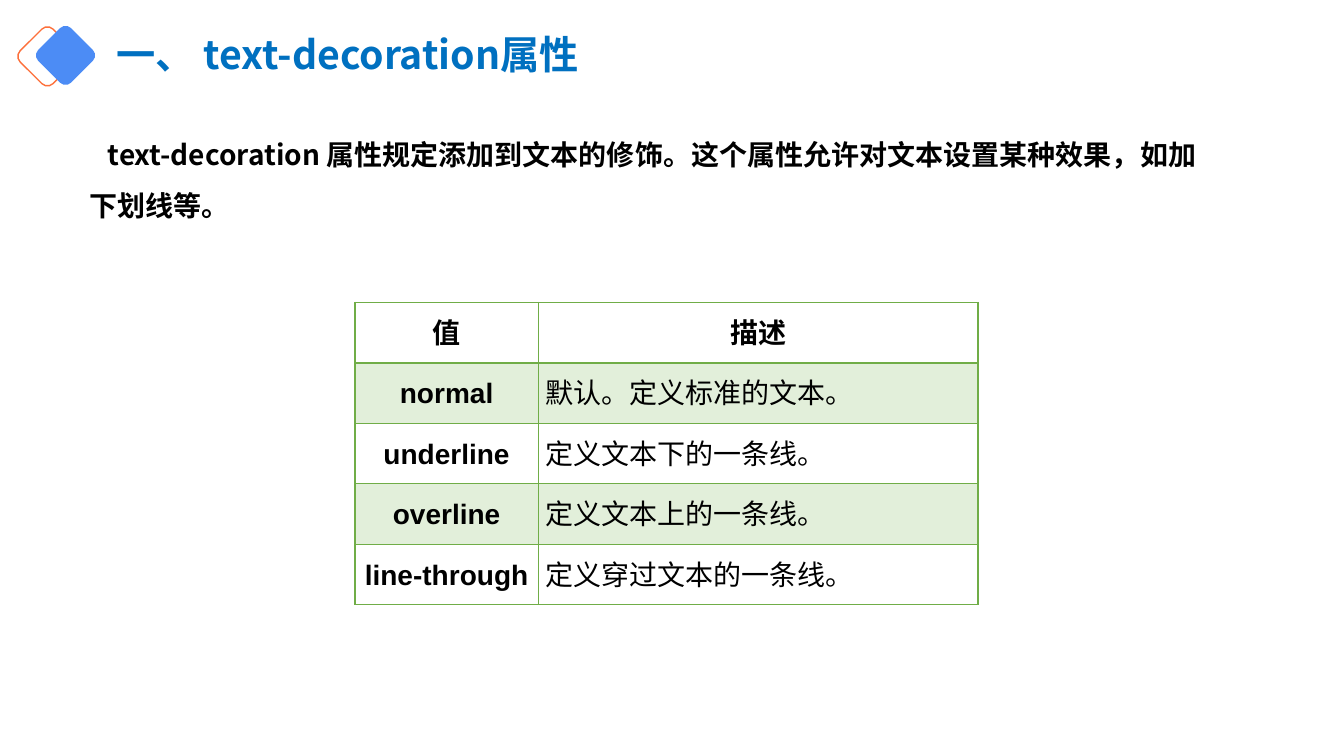
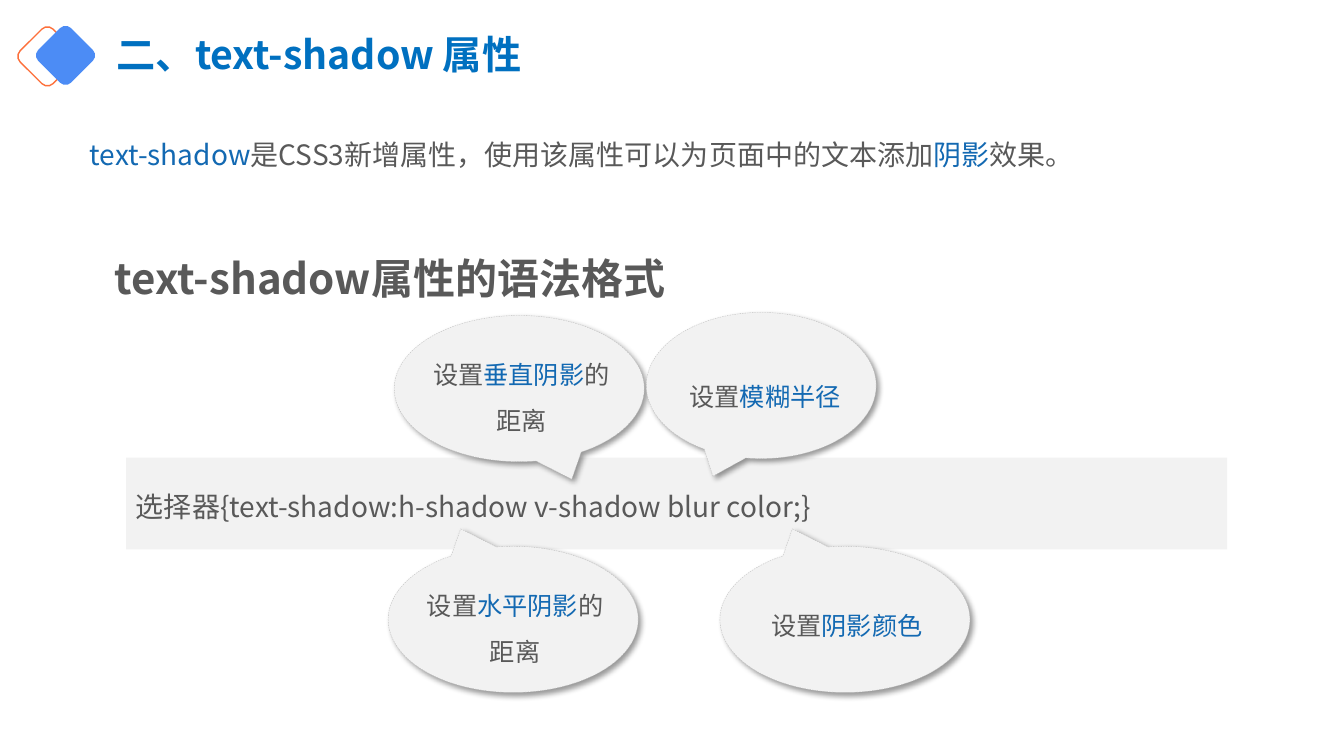
import pptx
import pptx.dml.color
import pptx.enum.dml
import pptx.enum.shapes
import pptx.enum.text
import pptx.oxml
import pptx.oxml.ns
import pptx.util
from lxml import etree

Inches = pptx.util.Inches
Pt = pptx.util.Pt
SHAPES = pptx.enum.shapes.MSO_SHAPE
ALIGN = pptx.enum.text.PP_ALIGN
ANCHOR = pptx.enum.text.MSO_ANCHOR
NAMESPACE = pptx.oxml.ns.nsdecls("a")


def color(value):
    return pptx.dml.color.RGBColor.from_string(value)


def write_text(frame, text, size=20, font="Noto Sans CJK SC", fill="595959",
               accent="1369B2", bold=False, align=ALIGN.LEFT, spacing=1.5,
               first_indent=0):
    """Write one paragraph; every second part between bars takes the accent colour."""
    frame.word_wrap = True
    paragraph = frame.paragraphs[0]
    paragraph.alignment = align
    paragraph.line_spacing = spacing
    if first_indent:
        paragraph._p.get_or_add_pPr().set("indent", str(Inches(first_indent)))
    for index, part in enumerate(text.split("|")):
        if not part:
            continue
        run = paragraph.add_run()
        run.text = part
        run.font.size = Pt(size)
        run.font.name = font
        run.font.bold = bold
        run.font.color.rgb = color(accent if index % 2 else fill)
        east_asian = etree.SubElement(run._r.get_or_add_rPr(), pptx.oxml.ns.qn("a:ea"))
        east_asian.set("typeface", font)


def add_soft_shadow(shape):
    effects = pptx.oxml.parse_xml(
        f'<a:effectLst {NAMESPACE}><a:outerShdw blurRad="{Pt(4)}" dist="{Pt(3)}" '
        'dir="2700000" algn="tl" rotWithShape="0"><a:srgbClr val="000000">'
        '<a:alpha val="40000"/></a:srgbClr></a:outerShdw></a:effectLst>')
    properties = shape._element.spPr
    properties.remove(properties.find(pptx.oxml.ns.qn("a:effectLst")))
    properties.append(effects)


def set_borders(cell, line_color, **widths):
    """Draw the cell's sides, given as L, R, T and B widths in points."""
    properties = cell._tc.get_or_add_tcPr()
    for side, width in widths.items():
        properties.append(pptx.oxml.parse_xml(
            f'<a:ln{side} {NAMESPACE} w="{Pt(width)}"><a:solidFill>'
            f'<a:srgbClr val="{line_color}"/></a:solidFill></a:ln{side}>'))


class Deck:
    TITLE = "0070C0"
    BLACK = "000000"
    PANEL = "F2F2F2"
    ORANGE = "FD703B"
    BLUE = "4C8CF5"
    GREEN = "70AD47"
    BAND = "E2EFDA"
    DASHED = "BFBFBF"

    def __init__(self):
        self.presentation = pptx.Presentation()
        self.presentation.slide_width = Inches(13.33)
        self.presentation.slide_height = Inches(7.5)
        self.slide = None

    def new_slide(self, title):
        """Start a slide with the two diamonds and its title."""
        self.slide = self.presentation.slides.add_slide(self.presentation.slide_layouts[6])
        self.shape(SHAPES.ROUNDED_RECTANGLE, 0.24, 0.33, 0.46, 0.46,
                   line=self.ORANGE).rotation = 45
        self.shape(SHAPES.ROUNDED_RECTANGLE, 0.42, 0.32, 0.46, 0.46,
                   fill=self.BLUE).rotation = 45
        self.text(title, 1.06, 0.17, 5.13, 0.79, anchor=ANCHOR.MIDDLE,
                  size=28, fill=self.TITLE, bold=True, spacing=0.9)

    def shape(self, kind, left, top, width, height, fill=None, line=None, line_width=1):
        shape = self.slide.shapes.add_shape(
            kind, Inches(left), Inches(top), Inches(width), Inches(height))
        shape.shadow.inherit = False
        if fill:
            shape.fill.solid()
            shape.fill.fore_color.rgb = color(fill)
        else:
            shape.fill.background()
        if line:
            shape.line.color.rgb = color(line)
            shape.line.width = Pt(line_width)
        else:
            shape.line.fill.background()
        return shape

    def text(self, text, left, top, width, height, anchor=ANCHOR.TOP, **style):
        box = self.slide.shapes.add_textbox(
            Inches(left), Inches(top), Inches(width), Inches(height))
        box.text_frame.vertical_anchor = anchor
        write_text(box.text_frame, text, **style)

    def body(self, text, **style):
        self.text(text, 0.79, 1.15, 11.42, 5.6, **style)

    def callout(self, text, left, top, width, tip, text_left, text_top, text_height):
        """Add a speech bubble whose tip is offset by fractions of its size."""
        bubble = self.shape(SHAPES.OVAL_CALLOUT, left, top, width, 1.45,
                            fill=self.PANEL, line=self.DASHED, line_width=0.25)
        bubble.line.dash_style = pptx.enum.dml.MSO_LINE.DASH
        bubble.adjustments[0], bubble.adjustments[1] = tip
        add_soft_shadow(bubble)
        self.text(text, text_left, text_top, 2.16, text_height, size=18, align=ALIGN.CENTER)

    def table(self, rows, left, top, column_widths, row_height):
        table = self.slide.shapes.add_table(
            len(rows), len(column_widths), Inches(left), Inches(top),
            Inches(sum(column_widths)), Inches(row_height * len(rows))).table
        table.first_row = table.horz_banding = False
        for column, width in zip(table.columns, column_widths):
            column.width = Inches(width)
        for row_index, values in enumerate(rows):
            table.rows[row_index].height = Inches(row_height)
            for column_index, value in enumerate(values):
                cell = table.cell(row_index, column_index)
                cell.margin_left = cell.margin_right = Inches(0.07)
                cell.margin_top = cell.margin_bottom = 0
                set_borders(cell, self.GREEN, L=1, R=1,
                            T=2 if row_index == 1 else 1,
                            B=2 if row_index == 0 else 1)
                if row_index % 2:
                    cell.fill.solid()
                    cell.fill.fore_color.rgb = color(self.BAND)
                else:
                    cell.fill.background()
                heading = row_index == 0 or column_index == 0
                write_text(cell.text_frame, value, font="Arial", fill=self.BLACK,
                           bold=heading, align=ALIGN.CENTER if heading else ALIGN.JUSTIFY)


def add_decoration_slide(deck):
    deck.new_slide("一、 text-decoration属性")
    deck.body("text-decoration 属性规定添加到文本的修饰。这个属性允许对文本设置某种效果，如加下划线等。",
              fill=deck.BLACK, bold=True, first_indent=0.18)
    deck.table([
        ("值", "描述"),
        ("normal", "默认。定义标准的文本。"),
        ("underline", "定义文本下的一条线。"),
        ("overline", "定义文本上的一条线。"),
        ("line-through", "定义穿过文本的一条线。"),
    ], 3.52, 3, (1.82, 4.36), 0.6)


def add_shadow_slide(deck):
    deck.new_slide("二、text-shadow 属性")
    deck.body("|text-shadow|是CSS3新增属性，使用该属性可以为页面中的文本添加|阴影|效果。")
    deck.text("text-shadow属性的语法格式", 1.04, 2.21, 11.29, 0.86, size=30, bold=True)
    deck.shape(SHAPES.RECTANGLE, 1.25, 4.54, 10.92, 0.91, fill=deck.PANEL)
    deck.text("选择器{text-shadow:h-shadow v-shadow blur color;}", 1.25, 4.64, 10.92, 0.6)
    across, down = 0.21, 0.62
    deck.callout("设置|阴影颜色", 7.14, 5.42, 2.48, (-across, -down), 7.32, 5.86, 0.55)
    deck.callout("设置|水平阴影|的距离", 3.85, 5.42, 2.48, (-across, -down), 4.03, 5.66, 1.01)
    deck.callout("设置|垂直阴影|的距离", 3.91, 3.13, 2.48, (across, down), 4.09, 3.37, 1.01)
    deck.callout("设置|模糊半径", 6.41, 3.1, 2.28, (-across, down), 6.51, 3.58, 0.55)


def main():
    deck = Deck()
    add_decoration_slide(deck)
    add_shadow_slide(deck)
    deck.presentation.save("out.pptx")


if __name__ == "__main__":
    main()
